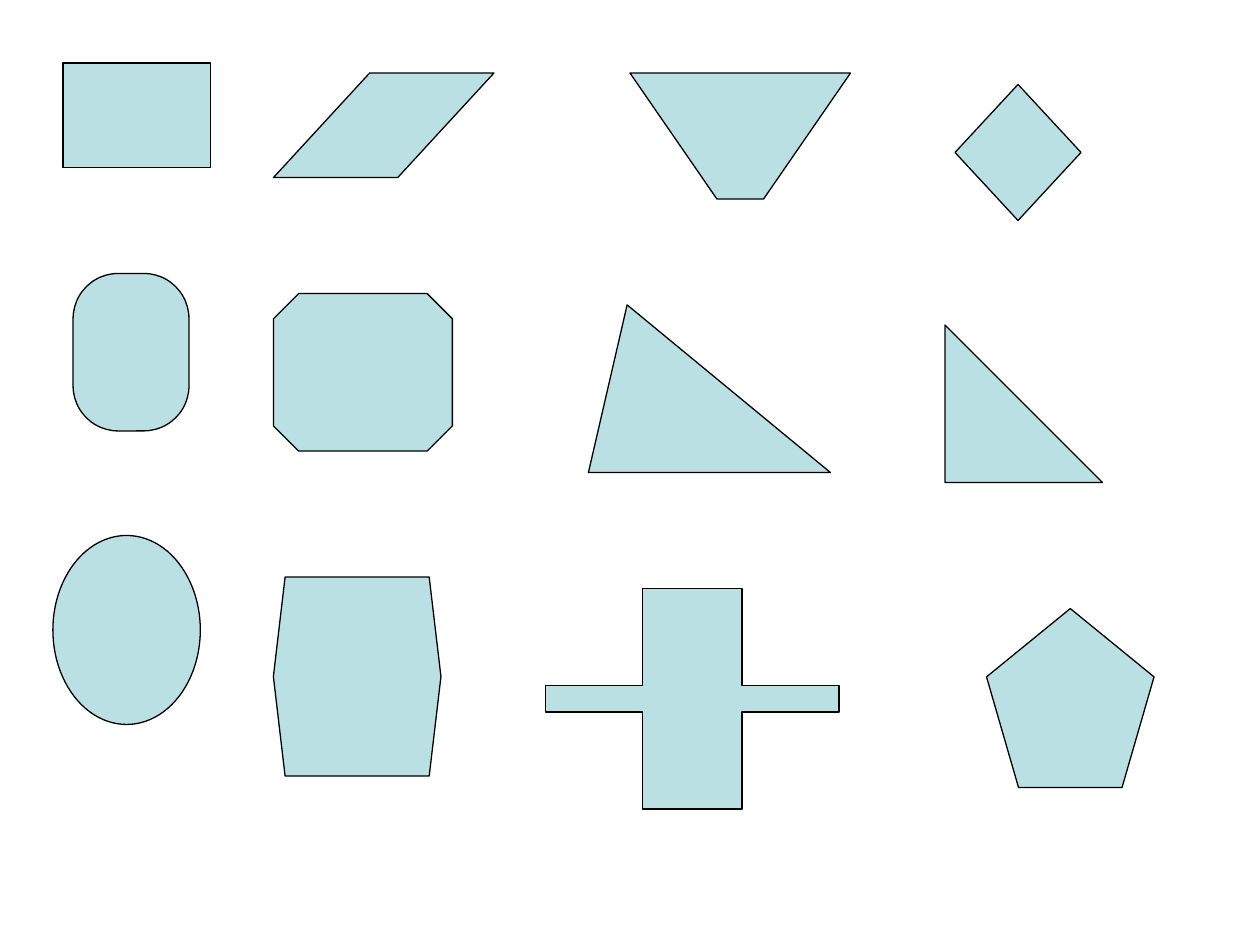
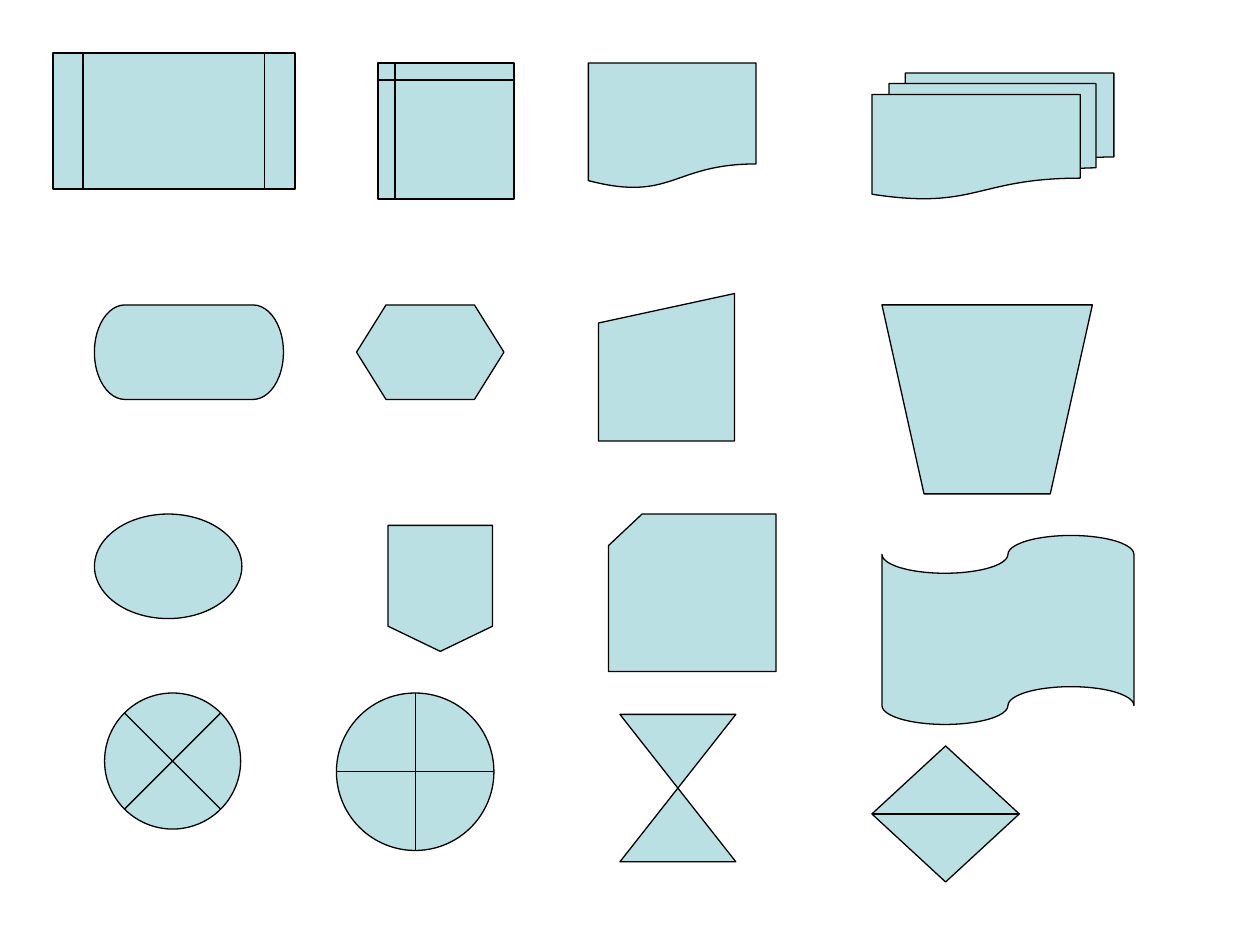
"""Build two slides of basic outlines and flowchart symbols."""
from pptx import Presentation
from pptx.dml.color import RGBColor
from pptx.enum.shapes import MSO_SHAPE
from pptx.util import Inches, Pt

PALE_TEAL = "BBE0E3"
BLACK = "000000"

BASIC_OUTLINES = [
    (MSO_SHAPE.RECTANGLE, 0.5, 0.5, 1.17, 0.83),
    (MSO_SHAPE.PARALLELOGRAM, 2.17, 0.58, 1.75, 0.83, 0.92),
    (MSO_SHAPE.DIAMOND, 7.58, 0.67, 1, 1.08),
    (MSO_SHAPE.ROUNDED_RECTANGLE, 0.58, 2.17, 0.92, 1.25, 0.39),
    (MSO_SHAPE.OCTAGON, 2.17, 2.33, 1.42, 1.25, 0.16),
    (MSO_SHAPE.ISOSCELES_TRIANGLE, 4.67, 2.42, 1.92, 1.33, 0.16),
    (MSO_SHAPE.RIGHT_TRIANGLE, 7.5, 2.58, 1.25, 1.25),
    (MSO_SHAPE.OVAL, 0.42, 4.25, 1.17, 1.5),
    (MSO_SHAPE.HEXAGON, 2.17, 4.58, 1.33, 1.58, 0.07),
    (MSO_SHAPE.CROSS, 4.33, 4.67, 2.33, 1.75, 0.44),
    (MSO_SHAPE.REGULAR_PENTAGON, 7.83, 4.83, 1.33, 1.42),
]
FUNNEL_CORNERS = [(5, 0.58), (6.75, 0.58), (6.06, 1.58), (5.69, 1.58)]

FLOWCHART_SYMBOLS = [
    (MSO_SHAPE.FLOWCHART_PREDEFINED_PROCESS, 0.42, 0.42, 1.92, 1.08),
    (MSO_SHAPE.FLOWCHART_INTERNAL_STORAGE, 3, 0.5, 1.08, 1.08),
    (MSO_SHAPE.FLOWCHART_DOCUMENT, 4.67, 0.5, 1.33, 1),
    (MSO_SHAPE.FLOWCHART_MULTIDOCUMENT, 6.92, 0.58, 1.92, 1),
    (MSO_SHAPE.FLOWCHART_TERMINATOR, 0.75, 2.42, 1.5, 0.75),
    (MSO_SHAPE.FLOWCHART_PREPARATION, 2.83, 2.42, 1.17, 0.75),
    (MSO_SHAPE.FLOWCHART_MANUAL_INPUT, 4.75, 2.33, 1.08, 1.17),
    (MSO_SHAPE.FLOWCHART_MANUAL_OPERATION, 7, 2.42, 1.67, 1.5),
    (MSO_SHAPE.FLOWCHART_CONNECTOR, 0.75, 4.08, 1.17, 0.83),
    (MSO_SHAPE.FLOWCHART_OFFPAGE_CONNECTOR, 3.08, 4.17, 0.83, 1),
    (MSO_SHAPE.FLOWCHART_CARD, 4.83, 4.08, 1.33, 1.25),
    (MSO_SHAPE.FLOWCHART_PUNCHED_TAPE, 7, 4.25, 2, 1.5),
    (MSO_SHAPE.FLOWCHART_SUMMING_JUNCTION, 0.83, 5.5, 1.08, 1.08),
    (MSO_SHAPE.FLOWCHART_OR, 2.67, 5.5, 1.25, 1.25),
    (MSO_SHAPE.FLOWCHART_COLLATE, 4.92, 5.67, 0.92, 1.17),
    (MSO_SHAPE.FLOWCHART_SORT, 6.92, 5.92, 1.17, 1.08),
]


def color(hex_value):
    return RGBColor.from_string(hex_value)


def paint(symbol):
    symbol.shadow.inherit = False
    symbol.fill.solid()
    symbol.fill.fore_color.rgb = color(PALE_TEAL)
    symbol.line.color.rgb = color(BLACK)
    symbol.line.width = Pt(0.75)


def add_symbol(slide, kind, left, top, width, height, adjustment=None):
    symbol = slide.shapes.add_shape(
        kind, Inches(left), Inches(top), Inches(width), Inches(height))
    if adjustment is not None:
        symbol.adjustments[0] = adjustment
    paint(symbol)


def add_polygon(slide, corners):
    start, *others = [(Inches(x), Inches(y)) for x, y in corners]
    outline = slide.shapes.build_freeform(*start)
    outline.add_line_segments(others, close=True)
    paint(outline.convert_to_shape())


def add_symbol_slide(deck, symbols):
    slide = deck.slides.add_slide(deck.slide_layouts[6])
    for symbol in symbols:
        add_symbol(slide, *symbol)
    return slide


def main():
    deck = Presentation()
    deck.slide_width, deck.slide_height = Inches(10), Inches(7.5)
    outlines = add_symbol_slide(deck, BASIC_OUTLINES)
    add_polygon(outlines, FUNNEL_CORNERS)
    add_symbol_slide(deck, FLOWCHART_SYMBOLS)
    deck.save("out.pptx")


if __name__ == "__main__":
    main()
